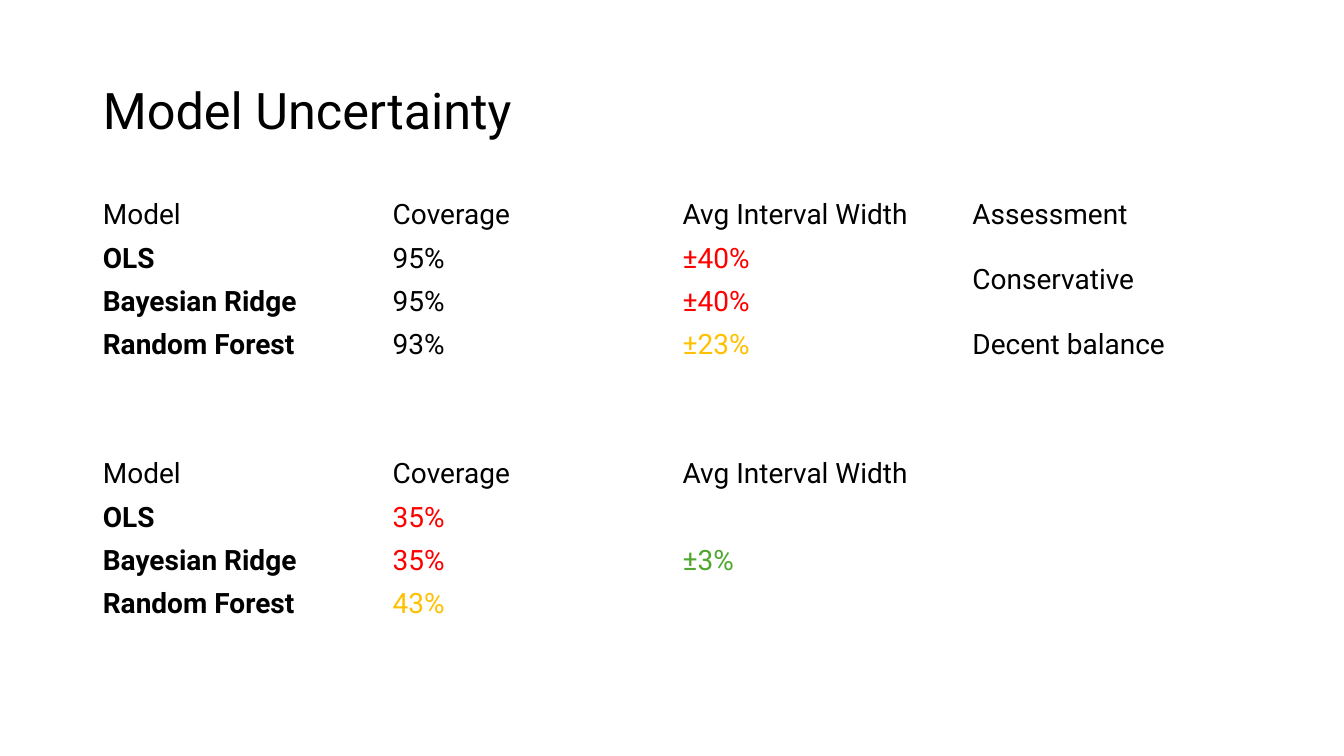
import pptx
import pptx.dml.color
import pptx.enum.text
import pptx.util

BLACK = pptx.dml.color.RGBColor(0x00, 0x00, 0x00)
RED = pptx.dml.color.RGBColor(0xFF, 0x00, 0x00)
AMBER = pptx.dml.color.RGBColor(0xFF, 0xC0, 0x00)
GREEN = pptx.dml.color.RGBColor(0x4E, 0xA7, 0x2E)

FONT = "Roboto"
SLIDE_WIDTH, SLIDE_HEIGHT = 13.33, 7.5
MARGIN = 0.92
CONTENT_WIDTH = 11.5
ROW_HEIGHT = 0.43
COLUMNS = 4

HEADINGS = ["Model", "Coverage", "Avg Interval Width"]
MODELS = ["OLS", "Bayesian Ridge", "Random Forest"]

# Each entry is a text with its colour; None leaves the cell empty
WIDE_INTERVALS = [
    [("95%", BLACK), ("±40%", RED), ("Conservative", BLACK)],
    [("95%", BLACK), ("±40%", RED), None],
    [("93%", BLACK), ("±23%", AMBER), ("Decent balance", BLACK)],
]
NARROW_INTERVALS = [
    [("35%", RED), ("±3%", GREEN), None],
    [("35%", RED), None, None],
    [("43%", AMBER), None, None],
]


def add_run(paragraph, text, size, color=BLACK, bold=False):
    run = paragraph.add_run()
    run.text = text
    run.font.name = FONT
    run.font.size = pptx.util.Pt(size)
    run.font.bold = bold
    run.font.color.rgb = color


def place_title(slide, text, left, top, width, height):
    title = slide.shapes.title
    title.left, title.top, title.width, title.height = (
        pptx.util.Inches(length) for length in (left, top, width, height))
    frame = title.text_frame
    frame.word_wrap = True
    frame.vertical_anchor = pptx.enum.text.MSO_ANCHOR.MIDDLE
    paragraph = frame.paragraphs[0]
    paragraph.alignment = pptx.enum.text.PP_ALIGN.LEFT
    paragraph.line_spacing = 0.9
    add_run(paragraph, text, 36)


def add_model_table(slide, headings, results, merged, left, top, width):
    """Place one table; merged is the (first, last) cell of a joined range."""
    rows = [[(heading, BLACK) for heading in headings]]
    rows += [[(model, BLACK)] + values for model, values in zip(MODELS, results)]
    table = slide.shapes.add_table(
        len(rows), COLUMNS, pptx.util.Inches(left), pptx.util.Inches(top),
        pptx.util.Inches(width), pptx.util.Inches(ROW_HEIGHT * len(rows))).table
    table.first_row = False
    table.horz_banding = False

    for cell in table.iter_cells():
        cell.fill.background()
        cell.vertical_anchor = pptx.enum.text.MSO_ANCHOR.MIDDLE
    first, last = merged
    table.cell(*first).merge(table.cell(*last))

    for row, entries in enumerate(rows):
        for column, entry in enumerate(entries):
            if entry:
                text, color = entry
                paragraph = table.cell(row, column).text_frame.paragraphs[0]
                add_run(paragraph, text, 20, color, bold=row > 0 and column == 0)


def build_uncertainty_slide(presentation):
    slide = presentation.slides.add_slide(presentation.slide_layouts[5])
    place_title(slide, "Model Uncertainty", MARGIN, 0.4, CONTENT_WIDTH, 1.45)
    # Wide intervals with an assessment
    add_model_table(slide, HEADINGS + ["Assessment"], WIDE_INTERVALS,
                    ((1, 3), (2, 3)), MARGIN, 1.92, CONTENT_WIDTH)
    # Narrow intervals sharing one width
    add_model_table(slide, HEADINGS, NARROW_INTERVALS,
                    ((1, 2), (3, 2)), MARGIN, 4.49, CONTENT_WIDTH)


def main():
    presentation = pptx.Presentation()
    presentation.slide_width = pptx.util.Inches(SLIDE_WIDTH)
    presentation.slide_height = pptx.util.Inches(SLIDE_HEIGHT)
    build_uncertainty_slide(presentation)
    presentation.save("out.pptx")


if __name__ == "__main__":
    main()
